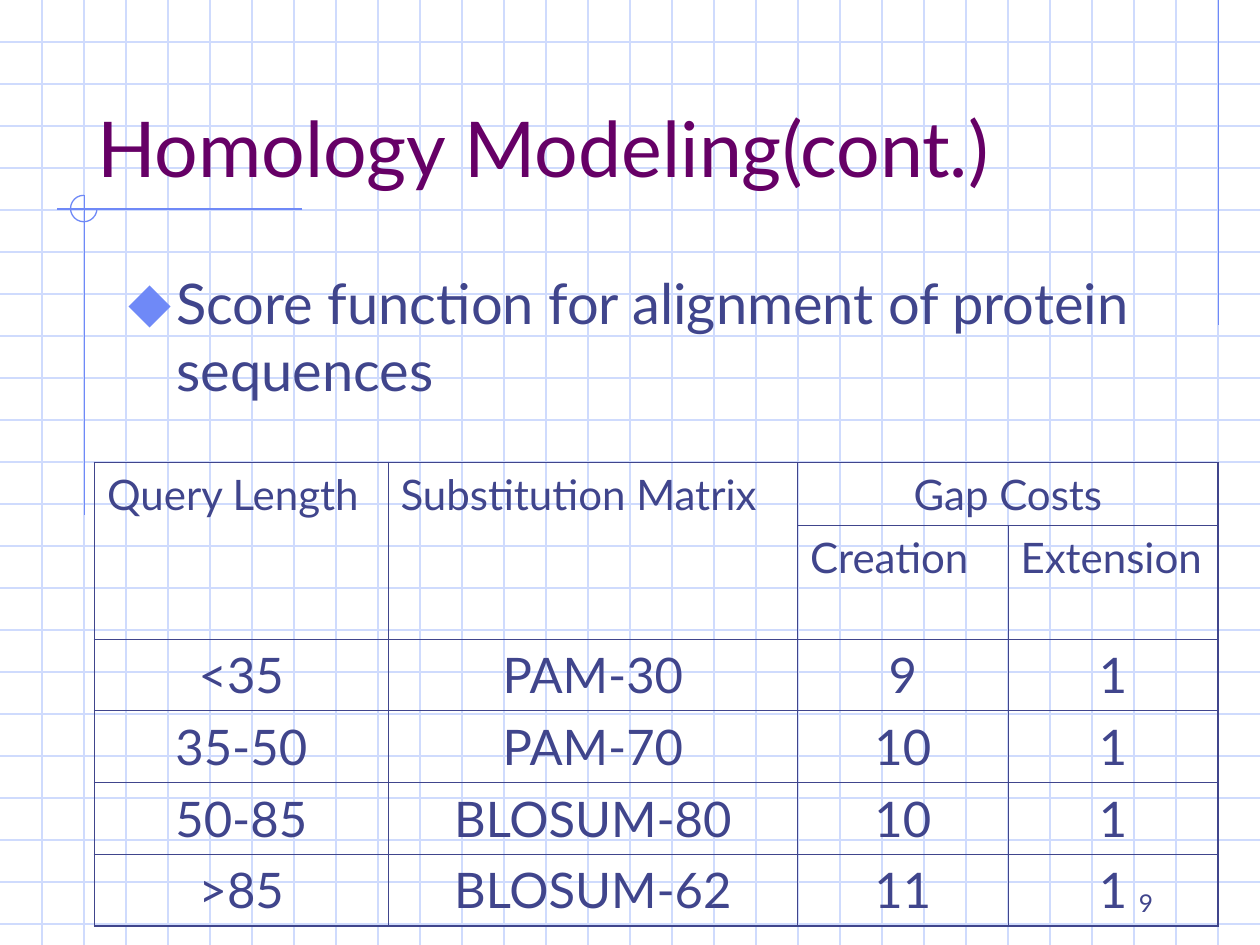
from lxml import etree
from pptx import Presentation
from pptx.dml.color import RGBColor
from pptx.enum.shapes import MSO_CONNECTOR, MSO_SHAPE
from pptx.enum.text import MSO_ANCHOR, MSO_AUTO_SIZE, PP_ALIGN
from pptx.oxml.ns import qn
from pptx.util import Inches, Pt

STRAIGHT = MSO_CONNECTOR.STRAIGHT
ARC = MSO_SHAPE.ARC
TOP, BOTTOM = MSO_ANCHOR.TOP, MSO_ANCHOR.BOTTOM
LEFT, CENTER, RIGHT = PP_ALIGN.LEFT, PP_ALIGN.CENTER, PP_ALIGN.RIGHT
NO_FIT = MSO_AUTO_SIZE.NONE

WIDTH, HEIGHT = 10, 7.5
FONT = "Lato"
INK, PURPLE, ACCENT, GRID = "40458C", "660066", "6F89F7", "CFDBFD"
THIN, THICK = 0.45, 1.08

TITLE = "Homology Modeling(cont.)"
BODY = "Score function for alignment of protein sequences"
PAGE_NUMBER = "9"
HEADERS = [
    ["Query Length", "Substitution Matrix", "Gap Costs", ""],
    ["", "", "Creation", "Extension"],
]
SCORES = [
    ["<35", "PAM-30", "9", "1"],
    ["35-50", "PAM-70", "10", "1"],
    ["50-85", "BLOSUM-80", "10", "1"],
    [">85", "BLOSUM-62", "11", "1"],
]
MERGES = [((0, 0), (1, 0)), ((0, 1), (1, 1)), ((0, 2), (0, 3))]
COLUMN_WIDTHS = [2.33, 3.25, 1.67, 1.67]
ROW_HEIGHTS = [0.5, 0.9] + [0.57] * len(SCORES)
RULES = [(9.67, 0, 9.67, 2.58), (2.4, 1.66, 0.45, 1.66), (0.67, 1.55, 0.67, 4.09)]


def color(code):
    return RGBColor.from_string(code)


def write(frame, text, size, ink=INK, align=LEFT):
    para = frame.paragraphs[0]
    para.alignment = align
    para.space_before = Pt(0)
    span = para.add_run()
    span.text = text
    span.font.name = FONT
    span.font.size = Pt(size)
    span.font.color.rgb = color(ink)
    return para


def set_frame(box, place, anchor):
    box.left, box.top, box.width, box.height = map(Inches, place)
    frame = box.text_frame
    frame.word_wrap = True
    frame.auto_size = NO_FIT
    frame.vertical_anchor = anchor
    return frame


def add_line(page, ends, ink):
    line = page.shapes.add_connector(STRAIGHT, *map(Inches, ends))
    line.line.color.rgb = color(ink)
    line.line.width = Pt(0.75)
    etree.SubElement(line.element.spPr, qn("a:effectLst"))


def add_background(page):
    for step in range(1, int(HEIGHT * 3) + 1):
        add_line(page, (0, step / 3, WIDTH, step / 3), GRID)
    for step in range(1, WIDTH * 3):
        add_line(page, (step / 3, 0, step / 3, HEIGHT), GRID)
    for ends in RULES:
        add_line(page, ends, ACCENT)
    arc = page.shapes.add_shape(ARC, *map(Inches, (0.56, 1.55, 0.21, 0.21)))
    arc.adjustments[0] = 0
    arc.adjustments[1] = 162
    arc.shadow.inherit = False
    arc.fill.background()
    arc.line.color.rgb = color(ACCENT)
    arc.line.width = Pt(0.75)


def add_bullet(para):
    props = para._p.get_or_add_pPr()
    props.set("marL", str(Inches(0.38)))
    props.set("indent", str(-Inches(0.38)))
    tint = etree.SubElement(props, qn("a:buClr"))
    etree.SubElement(tint, qn("a:srgbClr"), val=ACCENT)
    etree.SubElement(props, qn("a:buSzPct"), val="110000")
    etree.SubElement(props, qn("a:buChar"), char="⬥")


def set_borders(cell, outer_sides):
    props = cell._tc.get_or_add_tcPr()
    for index, side in enumerate("LRTB"):
        width = THICK if side in outer_sides else THIN
        edge = etree.Element(qn(f"a:ln{side}"), w=str(Pt(width)))
        fill = etree.SubElement(edge, qn("a:solidFill"))
        etree.SubElement(fill, qn("a:srgbClr"), val=INK)
        props.insert(index, edge)


def add_score_table(page):
    rows = HEADERS + SCORES
    row_count, column_count = len(rows), len(COLUMN_WIDTHS)
    place = (0.75, 3.67, sum(COLUMN_WIDTHS), sum(ROW_HEIGHTS))
    table = page.shapes.add_table(row_count, column_count, *map(Inches, place)).table
    table.first_row = table.horz_banding = False
    for column, width in zip(table.columns, COLUMN_WIDTHS):
        column.width = Inches(width)
    for row, height in zip(table.rows, ROW_HEIGHTS):
        row.height = Inches(height)
    for first, last in MERGES:
        table.cell(*first).merge(table.cell(*last))
    for r, texts in enumerate(rows):
        for c, text in enumerate(texts):
            cell = table.cell(r, c)
            cell.fill.background()
            if cell.is_spanned:
                continue
            height = cell.span_height if cell.is_merge_origin else 1
            width = cell.span_width if cell.is_merge_origin else 1
            edges = {"L": c == 0, "R": c + width == column_count,
                     "T": r == 0, "B": r + height == row_count}
            set_borders(cell, [side for side, outer in edges.items() if outer])
            is_header = r < len(HEADERS)
            align = LEFT if is_header and width == 1 else CENTER
            write(cell.text_frame, text, 24 if is_header else 28, align=align)


def main():
    """Build the homology modeling slide with its score table."""
    deck = Presentation()
    deck.slide_width, deck.slide_height = Inches(WIDTH), Inches(HEIGHT)
    page = deck.slides.add_slide(deck.slide_layouts[1])
    title, body = page.placeholders
    add_background(page)
    for box in (title, body):
        page.shapes.element.append(box.element)
    write(set_frame(title, (0.67, 0.33, 8.5, 1.25), BOTTOM), TITLE, 44, PURPLE)
    add_bullet(write(set_frame(body, (0.92, 2.08, 8.5, 4.5), TOP), BODY, 32))
    add_score_table(page)
    number = page.shapes.add_textbox(0, 0, 0, 0)
    write(set_frame(number, (7.17, 6.83, 2.08, 0.5), BOTTOM), PAGE_NUMBER, 14, align=RIGHT)
    deck.save("out.pptx")


if __name__ == "__main__":
    main()
